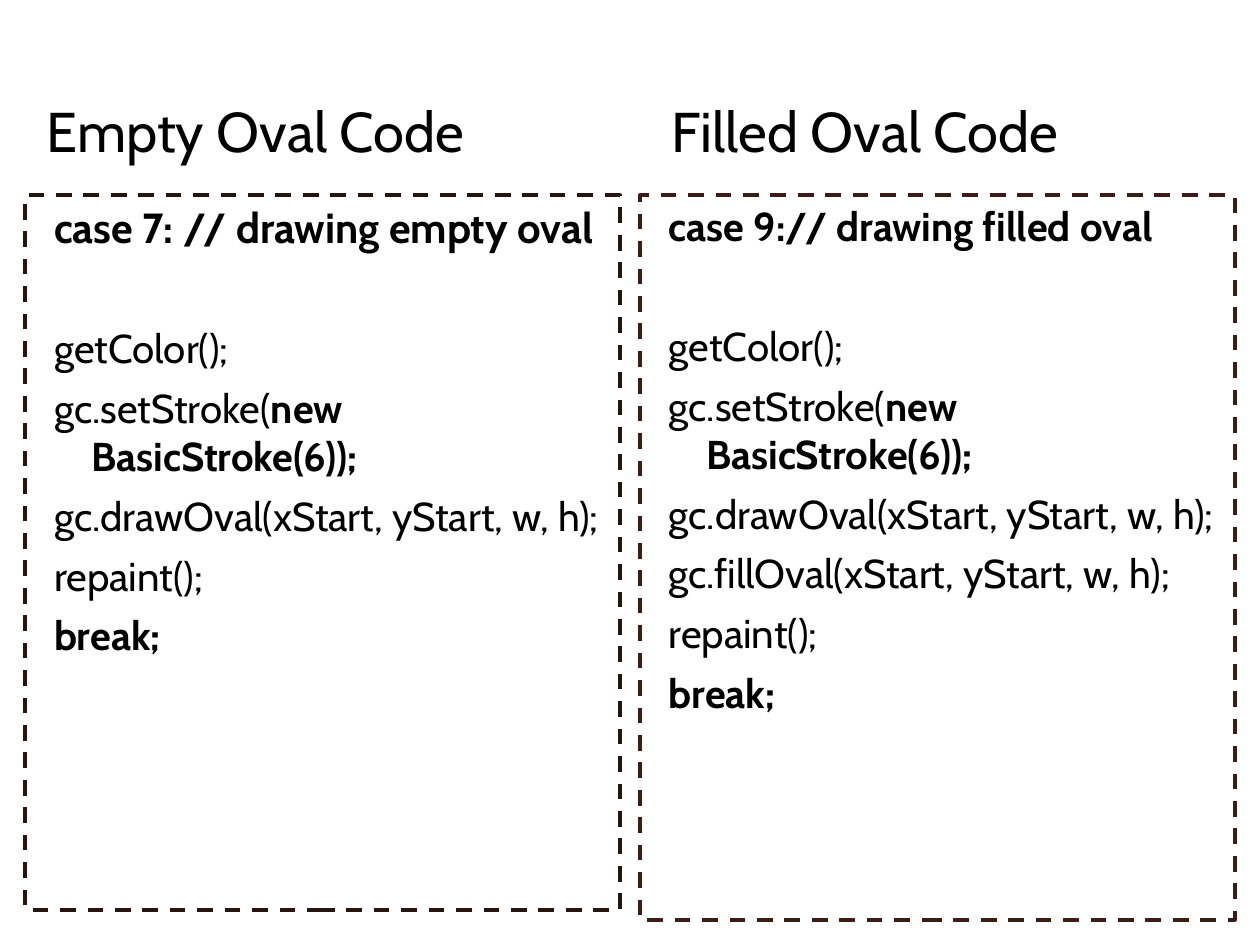
from lxml import etree
from pptx import Presentation, util as u
from pptx.dml.color import RGBColor
from pptx.enum import dml, shapes, text

COLOURS = {"white": "FFFFFF", "text": "000000", "left": "28140E", "right": "3B1D15"}
FONT = "Cabin"
HEADING_TOP, CODE_TOP = 1.73, 3.94
CODE_WIDTH = 11.99
LINE_GAP, BLANK_LINE_GAP = 6.5, 41

opening = [
    [("getColor();", False)],
    [("gc.setStroke(", False), ("new BasicStroke(6));", True)],
    [("gc.drawOval(xStart, yStart, w, h);", False)],
]
closing = [[("repaint();", False)], [("break;", True)]]
fill_call = [[("gc.fillOval(xStart, yStart, w, h);", False)]]

# heading, heading left, code left, code height, frame colour, first line size, code
columns = [
    ("Empty Oval Code", 0.51, 0.51, 14.4, "left", 24,
     [[("case 7: // drawing empty oval", True)]] + opening + closing),
    ("Filled Oval Code", 13.11, 12.9, 14.6, "right", 23,
     [[("case 9:// drawing filled oval", True)]] + opening + fill_call + closing),
]

deck = Presentation()
deck.slide_width, deck.slide_height = u.Cm(25.4), u.Cm(19.05)
page = deck.slides.add_slide(deck.slide_layouts[6])


def add_panel(left, top, width, height, line_colour, line_width):
    box = page.shapes.add_shape(shapes.MSO_SHAPE.RECTANGLE,
                                u.Cm(left), u.Cm(top), u.Cm(width), u.Cm(height))
    box.shadow.inherit = False
    box.line.color.rgb = RGBColor.from_string(COLOURS[line_colour])
    box.line.width = u.Pt(line_width)
    box.text_frame.word_wrap = True
    return box


def write_line(para, spans, size, margin, indent):
    """Fill a paragraph with (wording, bold) spans and a hanging indent."""
    para.alignment = text.PP_ALIGN.LEFT
    props = para._p.get_or_add_pPr()
    props.set("marL", str(u.Cm(margin)))
    props.set("indent", str(u.Cm(indent)))
    for wording, bold in spans:
        span = para.add_run()
        span.text = wording
        span.font.name = FONT
        span.font.size = u.Pt(size)
        span.font.bold = bold
        span.font.color.rgb = RGBColor.from_string(COLOURS["text"])


for heading, heading_left, code_left, code_height, frame, first_size, code in columns:
    title = add_panel(heading_left, HEADING_TOP, 11.16, 1.78, "white", 0.85)
    title.fill.solid()
    title.fill.fore_color.rgb = RGBColor.from_string(COLOURS["white"])
    title.text_frame.vertical_anchor = text.MSO_ANCHOR.MIDDLE
    write_line(title.text_frame.paragraphs[0], [(heading, False)], 32, 0.18, 0)

    listing = add_panel(code_left, CODE_TOP, CODE_WIDTH, code_height, frame, 2.25)
    listing.fill.background()
    listing.line.dash_style = dml.MSO_LINE.DASH
    listing.text_frame.vertical_anchor = text.MSO_ANCHOR.TOP
    for number, spans in enumerate(code):
        para = listing.text_frame.paragraphs[0] if number == 0 else listing.text_frame.add_paragraph()
        para.space_before = u.Pt(BLANK_LINE_GAP if number == 1 else LINE_GAP)
        write_line(para, spans, first_size if number == 0 else 23, 1.09, -0.76)

deck.save("out.pptx")
